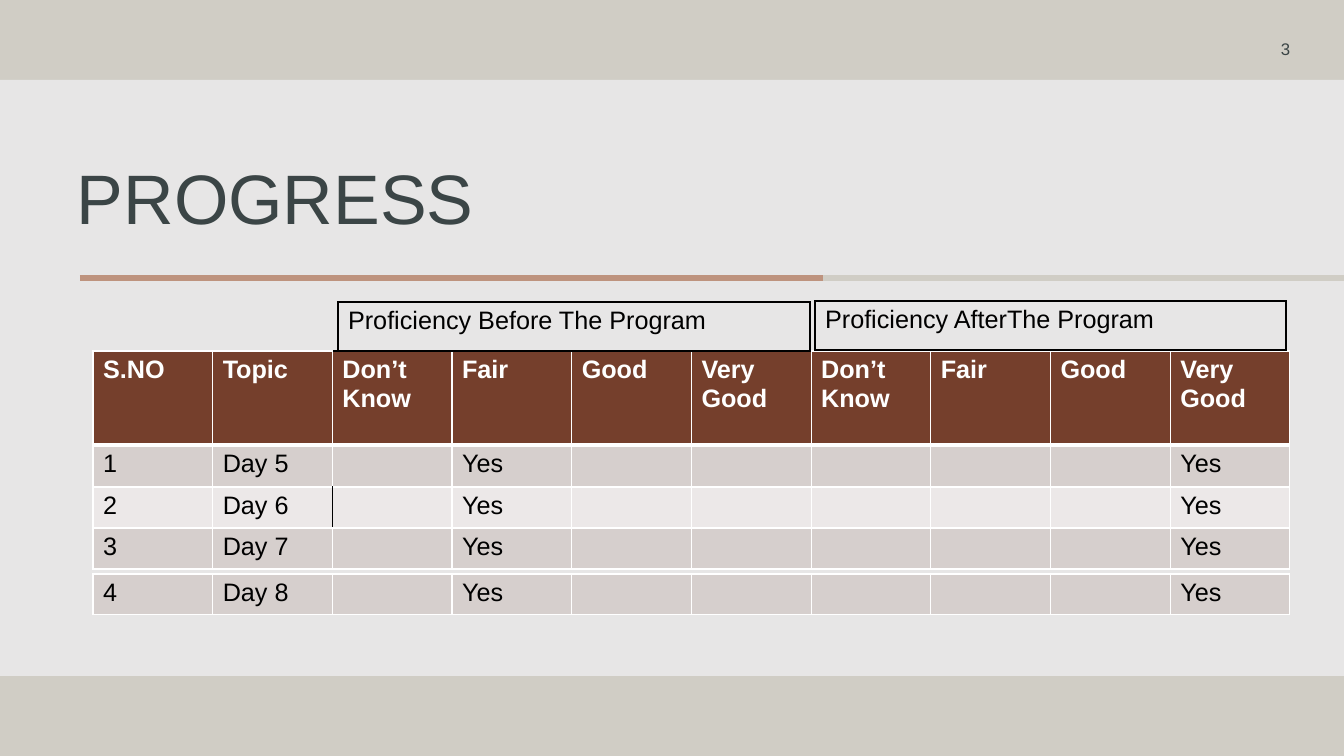
"""Build the PROGRESS slide with its before-and-after proficiency tables."""
from dataclasses import dataclass

from lxml import etree
from pptx import Presentation
from pptx.dml.color import RGBColor
from pptx.enum.shapes import MSO_CONNECTOR, MSO_SHAPE
from pptx.enum.text import MSO_ANCHOR, PP_ALIGN
from pptx.oxml.ns import qn
from pptx.util import Pt


@dataclass(frozen=True)
class Theme:
    font: str = "Arial"
    band: str = "D0CDC5"
    panel: str = "E7E6E6"
    accent: str = "BE937E"
    heading: str = "3B4546"
    header: str = "753F2C"
    row_dark: str = "D6CFCD"
    row_light: str = "ECE8E8"
    black: str = "000000"
    white: str = "FFFFFF"
    title_size: int = 50
    table_size: int = 18
    number_size: int = 12


theme = Theme()


def px(length):
    return round(length * 914400 / 100.8)


def write_text(frame, text, size, color, bold=False, align=PP_ALIGN.LEFT, spacing=None):
    paragraph = frame.paragraphs[0]
    paragraph.alignment = align
    paragraph.line_spacing = spacing
    paragraph.font.size = Pt(size)
    if text:
        run = paragraph.add_run()
        run.text = text
        run.font.name = theme.font
        run.font.size = Pt(size)
        run.font.bold = bold
        run.font.color.rgb = RGBColor.from_string(color)


presentation = Presentation()
presentation.slide_width, presentation.slide_height = px(1344), px(756)
slide = presentation.slides.add_slide(presentation.slide_layouts[6])
slide.background.fill.solid()
slide.background.fill.fore_color.rgb = RGBColor.from_string(theme.band)

panel = slide.shapes.add_shape(MSO_SHAPE.RECTANGLE, 0, px(80), px(1344), px(596))
panel.shadow.inherit = False
panel.fill.solid()
panel.fill.fore_color.rgb = RGBColor.from_string(theme.panel)
panel.line.fill.background()

for start, end, color in [(822, 1344, theme.band), (80, 823, theme.accent)]:
    rule = slide.shapes.add_connector(
        MSO_CONNECTOR.STRAIGHT, px(start), px(278), px(end), px(278))
    rule.line.color.rgb = RGBColor.from_string(color)
    rule.line.width = Pt(4.5)
    etree.SubElement(rule._element.spPr, qn("a:effectLst"))

title = slide.shapes.add_textbox(px(67), px(161), px(1159), px(64))
title.text_frame.word_wrap = True
title.text_frame.margin_top = px(10)
write_text(title.text_frame, "PROGRESS", theme.title_size, theme.heading, spacing=0.8)

number = slide.shapes.add_textbox(px(1116), px(33), px(184), px(31))
number.text_frame.word_wrap = True
number.text_frame.vertical_anchor = MSO_ANCHOR.MIDDLE
write_text(number.text_frame, "3", theme.number_size, theme.heading, align=PP_ALIGN.RIGHT)

levels = ["Don’t Know", "Fair", "Good", "Very Good"]
header = ["S.NO", "Topic", *levels, *levels]
days = [[str(day), f"Day {day + 4}", "", "Yes", "", "", "", "", "", "Yes"]
        for day in range(1, 5)]
dark, light = theme.row_dark, theme.row_light
tables = [
    (93, 351, 1197, [94, 42, 41, 41], [header, *days[:3]],
     [theme.header, dark, light, dark], theme.white),
    (338, 302, 472, [49], [["Proficiency Before The Program"]], [None], theme.black),
    (815, 301, 471, [49], [["Proficiency AfterThe Program"]], [None], theme.black),
    (93, 574, 1197, [39], days[3:], [dark], theme.white),
]
black_edges = {("Don’t Know", 0, 2, "T"), ("Day 6", 2, 1, "R"), ("", 2, 2, "L")}

for left, top, width, heights, rows, fills, edge_color in tables:
    columns = len(rows[0])
    table = slide.shapes.add_table(
        len(rows), columns, px(left), px(top), px(width), px(sum(heights))).table
    table.first_row = table.horz_banding = False
    for column in table.columns:
        column.width = px(width / columns)
    for row_index, (height, texts, fill) in enumerate(zip(heights, rows, fills)):
        table.rows[row_index].height = px(height)
        is_header = fill == theme.header
        for column_index, text in enumerate(texts):
            cell = table.cell(row_index, column_index)
            write_text(cell.text_frame, text, theme.table_size,
                       theme.white if is_header else theme.black, bold=is_header)
            if fill:
                cell.fill.solid()
                cell.fill.fore_color.rgb = RGBColor.from_string(fill)
            else:
                cell.fill.background()
            properties = cell._tc.get_or_add_tcPr()
            for position, side in enumerate("LRTB"):
                is_black = (text, row_index, column_index, side) in black_edges
                is_thick = (is_header and side == "B") or (row_index == 1 and side == "T")
                edge = etree.Element(qn(f"a:ln{side}"), w=str(Pt(3 if is_thick else 1)))
                solid = etree.SubElement(edge, qn("a:solidFill"))
                etree.SubElement(solid, qn("a:srgbClr"),
                                 val=theme.black if is_black else edge_color)
                properties.insert(position, edge)

presentation.save("out.pptx")
